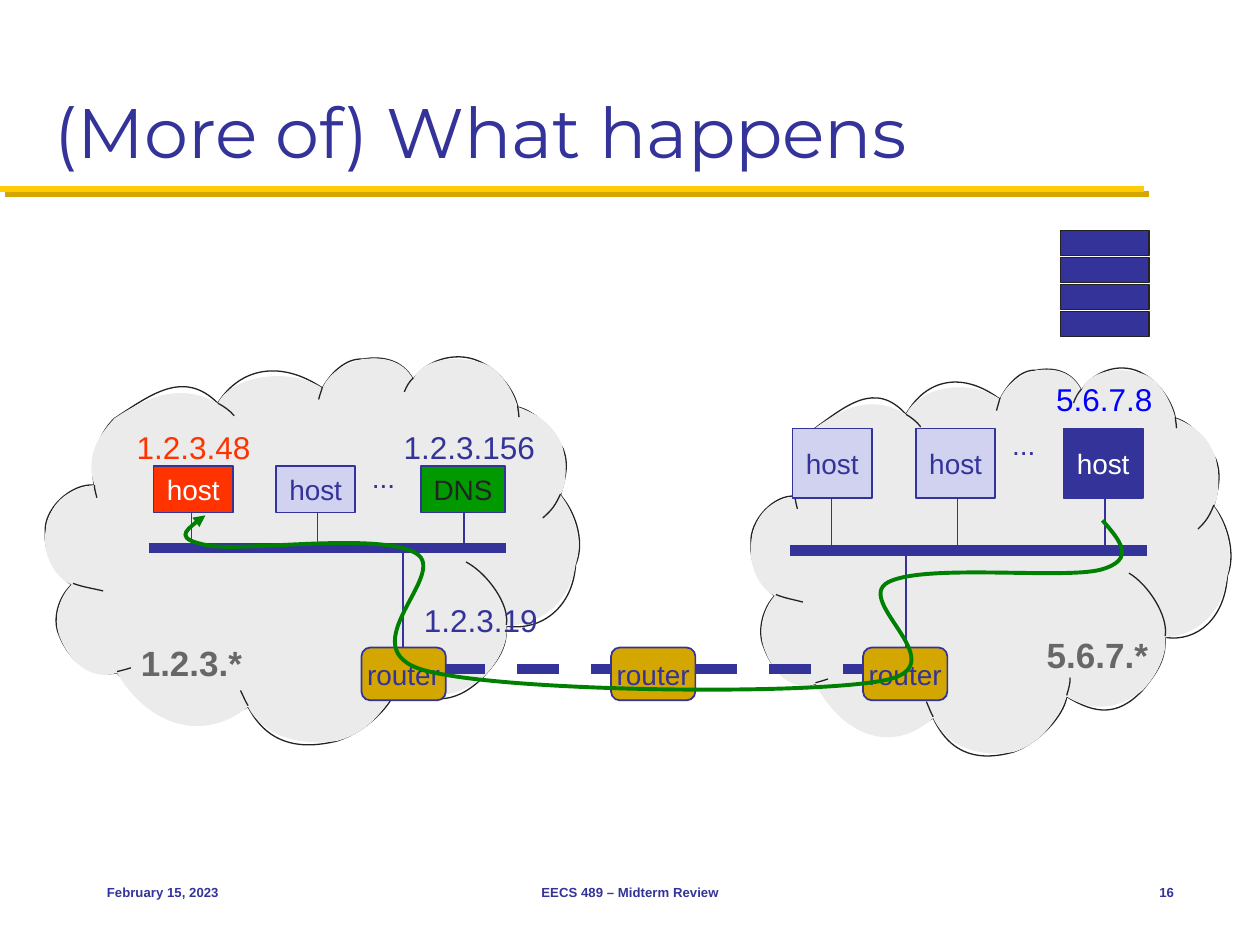
from dataclasses import dataclass

import pptx
import pptx.dml.color
import pptx.enum.dml
import pptx.enum.shapes
import pptx.enum.text
import pptx.oxml
import pptx.oxml.ns
import pptx.util

Pt = pptx.util.Pt
RGB = pptx.dml.color.RGBColor
SHAPE = pptx.enum.shapes.MSO_SHAPE
ALIGN = pptx.enum.text.PP_ALIGN
ANCHOR = pptx.enum.text.MSO_ANCHOR
qn = pptx.oxml.ns.qn
Box = tuple[float, float, float, float]

NAVY, PALE, WHITE = RGB(0x33, 0x33, 0x99), RGB(0xD1, 0xD1, 0xF0), RGB(255, 255, 255)
RED, GREEN, BLUE = RGB(0xFF, 0x33, 0), RGB(0, 0x99, 0), RGB(0, 0, 255)
ROUTE, GOLD, YELLOW = RGB(0, 0x80, 0), RGB(0xD3, 0xA6, 0), RGB(0xFF, 0xCB, 0x05)
INK, CLOUD, GREY = RGB(0x23, 0x23, 0x23), RGB(0xEB, 0xEB, 0xEB), RGB(0x67, 0x67, 0x67)

# Curves: a start point, then cubic segments of six numbers, in grid units.
CLOUD_GRID = (37, 283, 422, 306)
CLOUD_EDGE = [
    75, 385, 71, 369, 77, 345, 91, 332, 120, 313, 146, 293, 173, 320, 191, 291, 224, 286, 256, 308,
    262, 297, 274, 284, 288, 285, 304, 282, 320, 286, 328, 301, 340, 284, 365, 278, 383, 288,
    397, 295, 409, 311, 411, 323, 428, 327, 440, 345, 447, 356, 452, 369, 449, 378, 445, 393,
    459, 409, 464, 433, 457, 448, 455, 481, 431, 501, 402, 497, 403, 515, 394, 526, 382, 539,
    360, 560, 340, 558, 315, 544, 313, 559, 290, 581, 268, 588, 240, 595, 213, 592, 197, 561,
    160, 580, 119, 562, 93, 534, 73, 538, 55, 525, 47, 504, 41, 491, 47, 473, 57, 464,
    43, 455, 35, 436, 36, 423, 34, 404, 57, 383, 75, 385]
CLOUD_BODY = [
    75, 385, 68, 363, 77, 347, 91, 332, 121, 312, 145, 305, 173, 320, 184, 298, 230, 291, 256, 308,
    262, 295, 275, 288, 288, 285, 305, 283, 320, 286, 328, 301, 336, 284, 362, 282, 383, 288,
    397, 293, 407, 309, 411, 323, 429, 329, 442, 340, 447, 356, 449, 368, 451, 382, 445, 393,
    458, 409, 462, 433, 457, 448, 452, 479, 430, 495, 402, 497, 404, 510, 395, 527, 382, 539,
    358, 556, 335, 555, 315, 544, 305, 566, 290, 582, 268, 588, 241, 592, 210, 586, 197, 561,
    158, 592, 115, 572, 93, 534, 72, 541, 54, 524, 47, 504, 43, 492, 46, 475, 57, 464,
    43, 458, 34, 440, 36, 423, 39, 399, 53, 388, 75, 385]
CLOUD_CREASES = [
    [82, 469, 74, 467, 66, 466, 58, 463], [104, 530, 101, 531, 97, 532, 93, 533],
    [197, 560, 195, 557, 193, 552, 191, 548], [318, 529, 318, 534, 317, 537, 315, 543],
    [370, 446, 387, 455, 405, 480, 402, 496], [445, 392, 441, 401, 438, 405, 431, 411],
    [411, 322, 411, 324, 412, 328, 412, 331], [321, 311, 323, 306, 325, 303, 328, 300],
    [253, 317, 254, 313, 255, 311, 256, 307], [173, 320, 177, 322, 183, 326, 186, 330],
    [77, 395, 76, 391, 75, 388, 75, 385]]
ROUTE_GRID = (149, 409, 741, 138)
ROUTE_CURVE = [
    875, 413, 889, 429, 902, 444, 874, 452, 845, 460, 734, 447, 705, 462, 676, 477, 762, 529, 701, 540,
    639, 552, 399, 549, 337, 532, 275, 515, 358, 455, 330, 439, 301, 422, 194, 438, 166, 433,
    138, 428, 150, 418, 163, 409]


@dataclass
class Host:
    """A machine on a network."""
    name: str
    x: float
    drop_x: float
    fill: RGB = PALE
    color: RGB = NAVY
    width: float = 45.4


@dataclass
class Lan:
    """A cloud with a bus and its hosts."""
    cloud: Box
    net: str
    net_box: Box
    bus: tuple[float, float, float]
    host_y: float
    host_h: float
    dots_box: Box
    hosts: list[Host]


@dataclass
class Label:
    """A line of text in a box."""
    text: str
    box: Box
    size: float = 18
    color: RGB = NAVY
    bold: bool = False
    align: ALIGN = ALIGN.CENTER
    anchor: ANCHOR = ANCHOR.TOP
    wrap: bool = False
    font: str = "Arial"


def put_text(sp, lb: Label) -> None:
    """Write a label into a shape."""
    tf = sp.text_frame
    tf.word_wrap, tf.vertical_anchor = lb.wrap, lb.anchor
    p = tf.paragraphs[0]
    p.alignment = lb.align
    r = p.add_run()
    r.text = lb.text
    r.font.size, r.font.name, r.font.bold = Pt(lb.size), lb.font, lb.bold
    r.font.color.rgb = lb.color


def add_label(s, lb: Label) -> None:
    """Add a text box."""
    put_text(s.shapes.add_textbox(*map(Pt, lb.box)), lb)


def add_box(s, kind: SHAPE, box: Box, fill: RGB, line: RGB, width: float):
    """Add a filled, outlined preset shape."""
    sp = s.shapes.add_shape(kind, *map(Pt, box))
    sp.shadow.inherit = False
    sp.fill.solid()
    sp.fill.fore_color.rgb = fill
    sp.line.color.rgb, sp.line.width = line, Pt(width)
    return sp


def add_node(s, kind: SHAPE, box: Box, fill: RGB, text: str, color: RGB) -> None:
    """Add a named network node."""
    sp = add_box(s, kind, box, fill, NAVY, 1)
    put_text(sp, Label(text, box, 16, color, anchor=ANCHOR.MIDDLE))


def add_line(s, x1: float, y1: float, x2: float, y2: float, width: float = 1, color: RGB = NAVY):
    """Add a straight line without shadow; return it with its effect list."""
    c = s.shapes.add_connector(pptx.enum.shapes.MSO_CONNECTOR.STRAIGHT, *map(Pt, (x1, y1, x2, y2)))
    c.line.color.rgb, c.line.width = color, Pt(width)
    effects = pptx.oxml.parse_xml(f'<a:effectLst {pptx.oxml.ns.nsdecls("a")}/>')
    c._element.spPr.append(effects)
    return c, effects


def add_curves(s, box: Box, grid: tuple, layers: list, line: RGB, width: float):
    """Add one outline made of (curves, fill, stroke) layers of cubic segments."""
    x, y, w, h = box
    fb = s.shapes.build_freeform(Pt(x), Pt(y))
    fb.add_line_segments([(Pt(x + w), Pt(y)), (Pt(x + w), Pt(y + h)), (Pt(x), Pt(y + h))])
    sp = fb.convert_to_shape()
    sp.shadow.inherit = False
    sp.line.color.rgb, sp.line.width = line, Pt(width)
    gx, gy, gw, gh = grid

    def points(values: list) -> str:
        """Return point elements for a flat list of coordinates."""
        return "".join(f'<a:pt x="{a - gx}" y="{b - gy}"/>' for a, b in zip(values[::2], values[1::2]))

    paths = sp._element.find(".//" + qn("a:pathLst"))
    paths.clear()
    for curves, fill, stroke in layers:
        xml = ""
        for curve in curves:
            xml += f"<a:moveTo>{points(curve[:2])}</a:moveTo>"
            for i in range(2, len(curve), 6):
                xml += f"<a:cubicBezTo>{points(curve[i:i + 6])}</a:cubicBezTo>"
            xml += "<a:close/>" if curve[:2] == curve[-2:] else ""
        paths.append(pptx.oxml.parse_xml(
            f'<a:path {pptx.oxml.ns.nsdecls("a")} w="{gw}" h="{gh}" fill="{fill}" stroke="{stroke}">{xml}</a:path>'))
    return sp


def add_cloud(s, lan: Lan) -> None:
    """Add the cloud and its network address."""
    layers = [([CLOUD_EDGE], "none", 1), (CLOUD_CREASES, "none", 1), ([CLOUD_BODY], "norm", 0)]
    sp = add_curves(s, lan.cloud, CLOUD_GRID, layers, INK, 0.75)
    sp.fill.solid()
    sp.fill.fore_color.rgb = CLOUD
    add_label(s, Label(lan.net, lan.net_box, 20, GREY, True, wrap=True))


def add_lan(s, lan: Lan) -> None:
    """Add the bus, the drops and the hosts."""
    x1, x2, y = lan.bus
    add_line(s, x1, y, x2, y, 6)
    for h in lan.hosts:
        add_line(s, h.drop_x, lan.host_y + lan.host_h - 4, h.drop_x, y)
        add_node(s, SHAPE.RECTANGLE, (h.x, lan.host_y, h.width, lan.host_h), h.fill, h.name, h.color)
    add_label(s, Label("...", lan.dots_box, 16, anchor=ANCHOR.MIDDLE))


LANS = [
    Lan((429.8, 210.2, 272.9, 220.3), "5.6.7.*", (589.7, 358.6, 74.9, 46.8), (451.4, 655.2, 314.6),
        244.8, 39.6, (571, 234, 28, 39.6),
        [Host("host", 452.9, 475.2), Host("host", 523.4, 547.2), Host("host", 607.7, 631.4, NAVY, WHITE)]),
    Lan((26.6, 203.8, 303.8, 220.3), "1.2.3.*", (72, 362.9, 74.9, 46.8), (85, 289.4, 313.2),
        266.4, 26.6, (205.2, 259.2, 28, 26.6),
        [Host("host", 87.8, 109.4, RED, WHITE), Host("host", 157.7, 181.4),
         Host("DNS", 240.5, 265, GREEN, INK, 48.2)]),
]
FOOTERS = [("February 15, 2023", 54, 150, ALIGN.LEFT), ("EECS 489 – Midterm Review", 246, 228, ALIGN.CENTER),
           ("16", 630, 48, ALIGN.RIGHT)]
ADDRESSES = [Label("5.6.7.8", (596.2, 213.8, 69.8, 28.8), color=BLUE),
             Label("1.2.3.156", (223.2, 241.2, 90, 28.8)),
             Label("1.2.3.48", (70.6, 241.2, 80, 28.8), color=RED),
             Label("1.2.3.19", (234.7, 339.8, 80, 28.8))]

prs = pptx.Presentation()
prs.slide_width, prs.slide_height = Pt(720), Pt(540)
s = prs.slides.add_slide(prs.slide_layouts[6])

rule, effects = add_line(s, 0, 108, 653.8, 108, 3.5, YELLOW)
effects.append(pptx.oxml.parse_xml(
    f'<a:outerShdw {pptx.oxml.ns.nsdecls("a")} dist="{Pt(4.2)}" dir="2700000">'
    f'<a:srgbClr val="{GOLD}"/></a:outerShdw>'))
add_label(s, Label("(More of) What happens", (24, 12, 672, 90), 40, align=ALIGN.LEFT,
                   anchor=ANCHOR.BOTTOM, wrap=True, font="Montserrat"))
for text, x, w, align in FOOTERS:
    add_label(s, Label(text, (x, 492, w, 36), 7.5, NAVY, True, align, ANCHOR.MIDDLE, True))

for lan in LANS:
    add_cloud(s, lan)
    add_lan(s, lan)
for x, y in ((230.4, 310.3), (517.7, 313.9)):
    add_line(s, x, y, x, 370)
for x1, x2 in ((253.4, 349.2), (397.4, 493.2)):
    add_line(s, x1, 382.3, x2, 382.3, 6)[0].line.dash_style = pptx.enum.dml.MSO_LINE.DASH
for x in (206.6, 349.2, 493.2):
    add_node(s, SHAPE.ROUNDED_RECTANGLE, (x, 370, 48.2, 30.2), GOLD, "router", NAVY)
for lb in ADDRESSES:
    add_label(s, lb)

route = add_curves(s, (107.3, 294.5, 533.5, 99.4), ROUTE_GRID, [([ROUTE_CURVE], "none", 1)], ROUTE, 2.25)
route.fill.background()
route.line._get_or_add_ln().append(
    pptx.oxml.parse_xml(f'<a:tailEnd {pptx.oxml.ns.nsdecls("a")} type="triangle"/>'))

for i in range(4):
    add_box(s, SHAPE.RECTANGLE, (606.2, 131.8 + 15.4 * i, 50.4, 14.4), NAVY, INK, 0.75)

prs.save("out.pptx")
